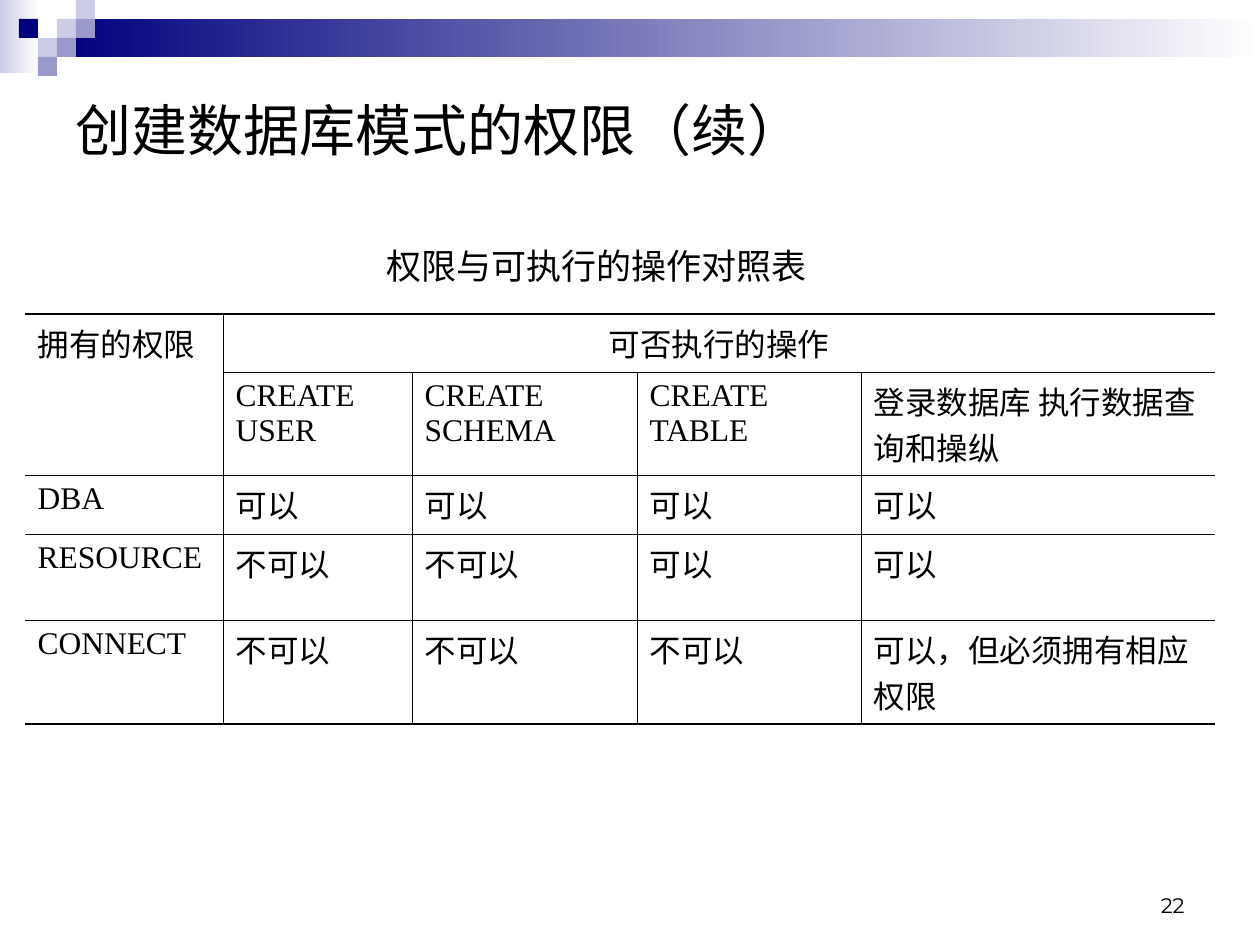
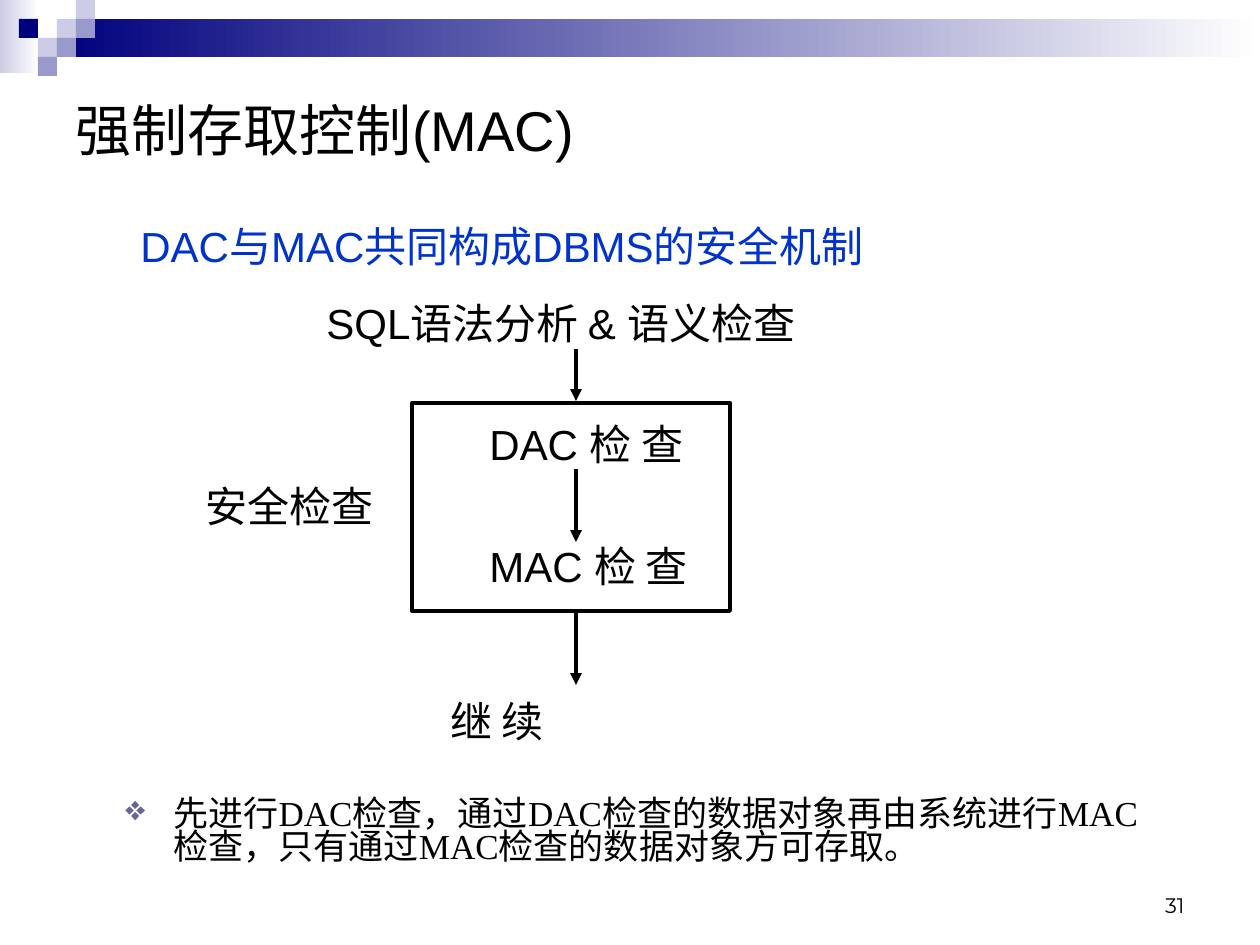
from lxml import etree
from pptx import Presentation
from pptx.dml.color import RGBColor
from pptx.enum.shapes import MSO_CONNECTOR, MSO_SHAPE
from pptx.enum.text import MSO_ANCHOR, PP_ALIGN
from pptx.oxml.ns import qn
from pptx.util import Emu, Pt

SCALE = 914400 / 126
RECT = MSO_SHAPE.RECTANGLE
LINE = MSO_CONNECTOR.STRAIGHT
LEFT, MID, RIGHT = PP_ALIGN.LEFT, PP_ALIGN.CENTER, PP_ALIGN.RIGHT
TOP, CENTRE, LOW = MSO_ANCHOR.TOP, MSO_ANCHOR.MIDDLE, MSO_ANCHOR.BOTTOM
PLAIN = "{2D5ABB26-0587-4C30-8999-92F81FD0307C}"
THIN, THICK = 0.45, 1.08
STEP = 19

COLOURS = {
    "navy": "00007D",
    "mid": "9999CC",
    "pale": "CCCCE6",
    "white": "FFFFFF",
    "black": "000000",
    "blue": "0033CC",
    "mark": "666699",
}
FONTS = {
    "title": {"name": "Arial", "size": Pt(32), "bold": False},
    "flow": {"name": "Arial", "size": Pt(24)},
    "note": {"name": "Times New Roman", "size": Pt(20)},
    "cell": {"name": "Times New Roman", "size": Pt(18)},
    "page": {"name": "Montserrat", "size": Pt(12)},
}
SQUARES = [
    (3, 1, "pale"), (4, 0, "pale"), (4, 1, "mid"), (2, 2, "pale"),
    (1, 1, "navy"), (3, 2, "mid"), (2, 3, "mid"),
]
COLS = [198, 189, 225, 224, 354]
ROWS = [58, 103, 59, 86, 104]
RIGHTS = [
    ["拥有的权限", "可否执行的操作", "", "", ""],
    ["", "CREATE USER", "CREATE SCHEMA", "CREATE TABLE",
     "登录数据库 执行数据查询和操纵"],
    ["DBA", "可以", "可以", "可以", "可以"],
    ["RESOURCE", "不可以", "不可以", "可以", "可以"],
    ["CONNECT", "不可以", "不可以", "不可以", "可以，但必须拥有相应权限"],
]
LABELS = [
    ("DAC与MAC共同构成DBMS的安全机制", 141, 246, "blue"),
    ("SQL语法分析 & 语义检查", 327, 323, "black"),
    ("DAC 检 查", 490, 444, "black"),
    ("安全检查", 206, 506, "black"),
    ("MAC 检 查", 490, 566, "black"),
    ("继 续", 451, 721, "black"),
]
ARROWS = [(349, 401), (469, 542), (611, 685)]


def px(*sizes):
    return [Emu(round(size * SCALE)) for size in sizes]


def tint(name):
    return RGBColor.from_string(COLOURS[name])


def write(frame, text, font, colour="black", align=LEFT):
    frame.text = text
    para = frame.paragraphs[0]
    para.alignment = align
    face = para.runs[0].font
    for key, value in FONTS[font].items():
        setattr(face, key, value)
    face.color.rgb = tint(colour)
    return para


def add_text(slide, box, text, font, colour="black", align=LEFT,
             anchor=CENTRE, wrap=True):
    frame = slide.shapes.add_textbox(*px(*box)).text_frame
    frame.word_wrap = wrap
    frame.vertical_anchor = anchor
    return write(frame, text, font, colour, align)


def add_rect(slide, box):
    shape = slide.shapes.add_shape(RECT, *px(*box))
    shape.shadow.inherit = False
    shape.line.fill.background()
    return shape


def add_fade(slide, box, start):
    fill = add_rect(slide, box).fill
    fill.gradient()
    fill.gradient_angle = 0
    for stop, name in zip(fill.gradient_stops, (start, "white")):
        stop.color.rgb = tint(name)


def add_page(deck, title, number):
    slide = deck.slides.add_slide(deck.slide_layouts[5])
    add_fade(slide, (0, 0, 39, 73), "pale")
    add_fade(slide, (57, STEP, 1203, 2 * STEP), "navy")
    for col, row, name in SQUARES:
        fill = add_rect(slide, (col * STEP, row * STEP, STEP, STEP)).fill
        fill.solid()
        fill.fore_color.rgb = tint(name)
    head = slide.shapes.title
    head.left, head.top, head.width, head.height = px(63, 63, 1134, 132)
    head.text_frame.vertical_anchor = CENTRE
    write(head.text_frame, title, "title")
    add_text(slide, (903, 861, 294, 63), number, "page",
             align=RIGHT, anchor=LOW)
    return slide


def add_edge(props, side, width):
    edge = etree.SubElement(props, qn(f"a:ln{side}"), w=str(Pt(width)))
    fill = etree.SubElement(edge, qn("a:solidFill"))
    etree.SubElement(fill, qn("a:srgbClr"), val=COLOURS["black"])


def rule_cell(cell, row, col):
    props = cell._tc.get_or_add_tcPr()
    last = row + cell.span_height == len(ROWS)
    edges = {
        "L": THIN if col else 0,
        "R": THIN if col + cell.span_width < len(COLS) else 0,
        "T": THIN if row else THICK,
        "B": THICK if last else THIN,
    }
    for side, width in edges.items():
        if width:
            add_edge(props, side, width)


def add_grid(slide, left, top):
    box = px(left, top, sum(COLS), sum(ROWS))
    frame = slide.shapes.add_table(len(ROWS), len(COLS), *box)
    frame.element.xpath(".//a:tableStyleId")[0].text = PLAIN
    grid = frame.table
    grid.first_row = grid.horz_banding = False
    for col, width in zip(grid.columns, px(*COLS)):
        col.width = width
    for row, height in zip(grid.rows, px(*ROWS)):
        row.height = height
    grid.cell(0, 0).merge(grid.cell(1, 0))
    grid.cell(0, 1).merge(grid.cell(0, 4))
    for row, line in enumerate(RIGHTS):
        for col, text in enumerate(line):
            cell = grid.cell(row, col)
            if not cell.is_spanned:
                wide = cell.span_width > 1
                write(cell.text_frame, text, "cell",
                      align=MID if wide else LEFT)
                cell.vertical_anchor = CENTRE if wide else TOP
                rule_cell(cell, row, col)
            cell.fill.background()


def add_arrow(slide, x, start, end):
    arrow = slide.shapes.add_connector(LINE, *px(x, start, x, end))
    arrow.line.width = Pt(2.25)
    arrow.line.color.rgb = tint("black")
    etree.SubElement(arrow.line._get_or_add_ln(), qn("a:tailEnd"),
                     type="triangle")
    etree.SubElement(arrow.element.spPr, qn("a:effectLst"))


def add_label(slide, text, left, mid, colour):
    add_text(slide, (left - 13, mid - 32, 840, 64), text, "flow",
             colour, wrap=False)


def add_frame(slide, box):
    shape = add_rect(slide, box)
    shape.fill.background()
    shape.line.color.rgb = tint("black")
    shape.line.width = Pt(2.25)


def add_note(slide, box, text):
    para = add_text(slide, box, text, "note", anchor=TOP)
    para.line_spacing = 0.8
    props = para._p.get_or_add_pPr()
    dent = px(48)[0]
    props.set("marL", str(dent))
    props.set("indent", str(-dent))
    tone = etree.SubElement(props, qn("a:buClr"))
    etree.SubElement(tone, qn("a:srgbClr"), val=COLOURS["mark"])
    etree.SubElement(props, qn("a:buChar"), char="❖")


def main():
    deck = Presentation()
    deck.slide_width, deck.slide_height = px(1260, 945)

    slide = add_page(deck, "创建数据库模式的权限（续）", "22")
    add_grid(slide, 25, 314)
    add_text(slide, (374, 238, 454, 55), "权限与可执行的操作对照表",
             "note", wrap=False)

    slide = add_page(deck, "强制存取控制(MAC)", "31")
    add_frame(slide, (412, 403, 318, 208))
    for label in LABELS:
        add_label(slide, *label)
    for start, end in ARROWS:
        add_arrow(slide, 576, start, end)
    add_note(slide, (113, 793, 1042, 97),
             "先进行DAC检查，通过DAC检查的数据对象再由系统进行"
             "MAC检查，只有通过MAC检查的数据对象方可存取。")
    deck.save("out.pptx")


if __name__ == "__main__":
    main()
